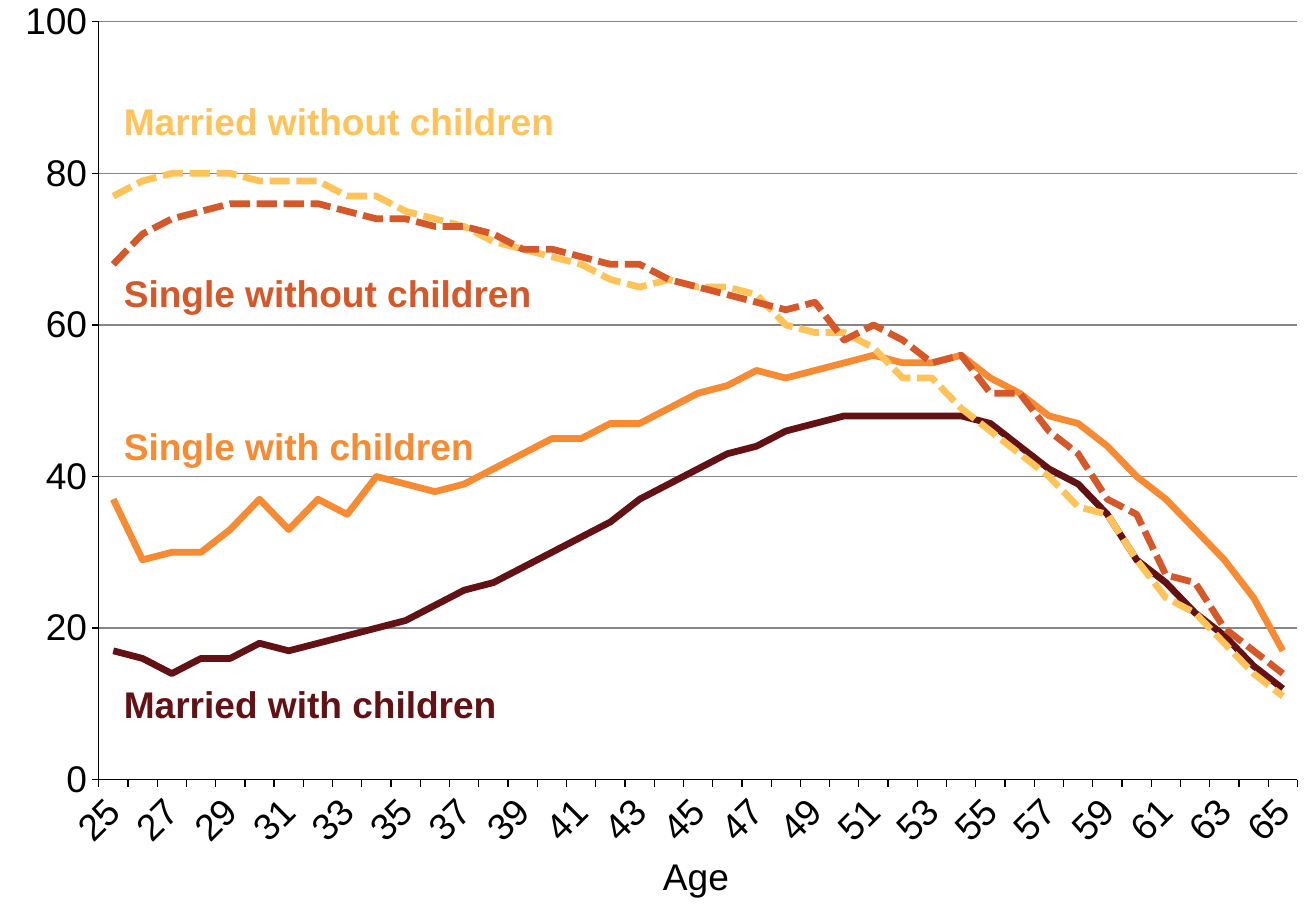
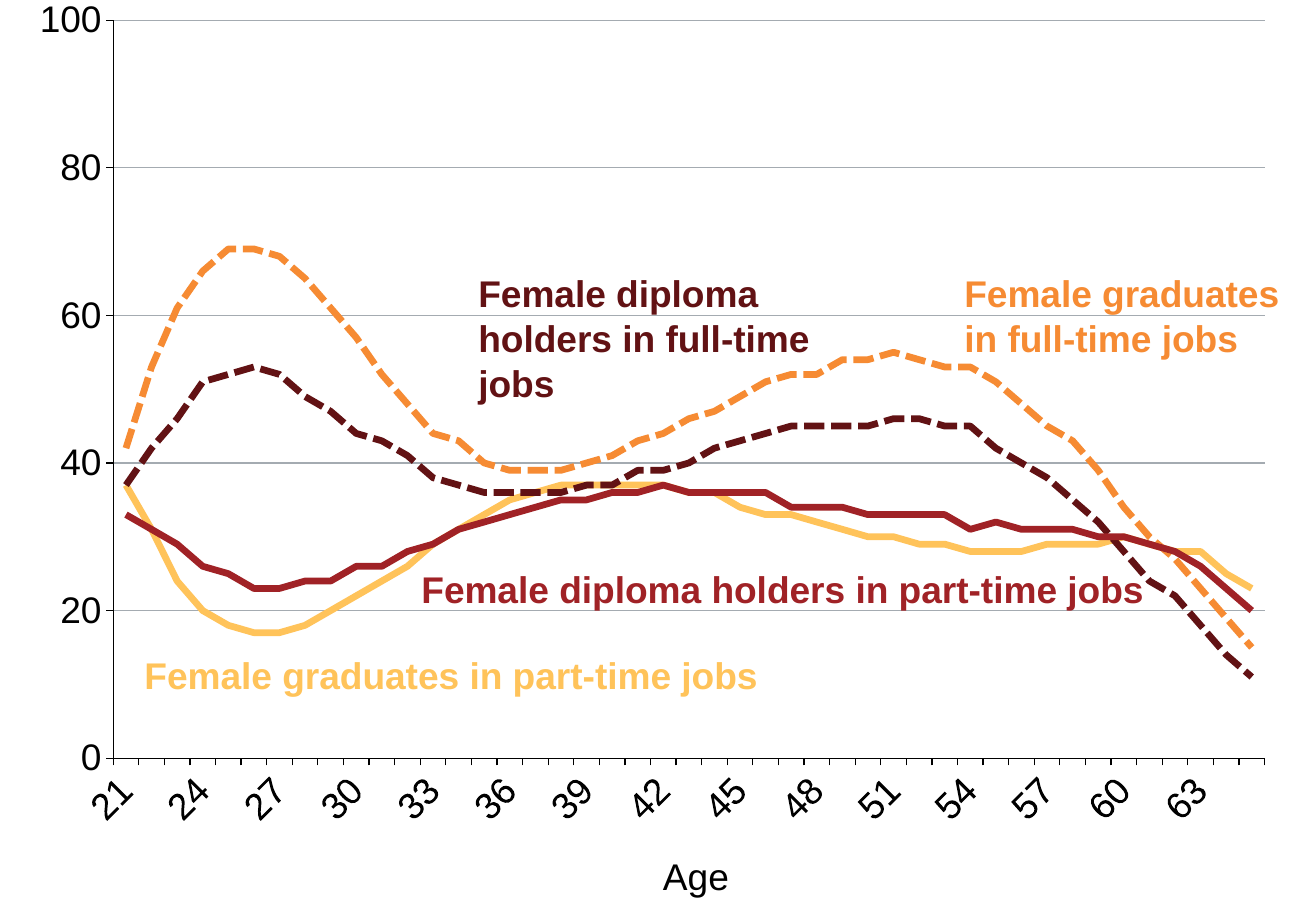
import dataclasses

import lxml.etree
import pptx
import pptx.chart.data
import pptx.dml.color
import pptx.enum.chart
import pptx.enum.dml
import pptx.enum.text
import pptx.oxml.ns
import pptx.util

Cm = pptx.util.Cm
Pt = pptx.util.Pt
qn = pptx.oxml.ns.qn


@dataclasses.dataclass(frozen=True)
class Theme:
    font: str = "Arial"
    text_size: float = 22
    series_width: float = 4
    axis_width: float = 0.75
    black: str = "000000"
    maroon: str = "621214"
    red: str = "A02226"
    rust: str = "D4582A"
    orange: str = "F68B33"
    yellow: str = "FFC35A"
    dark_grid: str = "868686"
    light_grid: str = "A4ABB1"


@dataclasses.dataclass(frozen=True)
class Box:
    left: float
    top: float
    width: float
    height: float

    def within(self, outer):
        """Return the lengths of this box, offset by the outer box."""
        return (Cm(outer.left + self.left), Cm(outer.top + self.top),
                Cm(self.width), Cm(self.height))


@dataclasses.dataclass(frozen=True)
class Group:
    """One curve and the label that names it."""
    name: str
    color: str
    dashed: bool
    label: Box
    values: tuple
    wrap: bool = False


THEME = Theme()
PAGE = Box(0, 0, 27.51, 19.05)
AGE_LABEL = Box(13.61, 17.73, 1.93, 1.19)

FAMILY_GROUPS = (
    Group("Married with children", THEME.maroon, False, Box(2.34, 14.12, 8.38, 1.19),
          (17, 16, 14, 16, 16, 18, 17, 18, 19, 20, 21, 23, 25, 26, 28, 30, 32, 34, 37, 39, 41,
           43, 44, 46, 47, 48, 48, 48, 48, 48, 47, 44, 41, 39, 35, 29, 26, 22, 19, 15, 12)),
    Group("Single with children", THEME.orange, False, Box(2.34, 8.74, 7.92, 1.19),
          (37, 29, 30, 30, 33, 37, 33, 37, 35, 40, 39, 38, 39, 41, 43, 45, 45, 47, 47, 49, 51,
           52, 54, 53, 54, 55, 56, 55, 55, 56, 53, 51, 48, 47, 44, 40, 37, 33, 29, 24, 17)),
    Group("Married without children", THEME.yellow, True, Box(2.34, 1.93, 9.6, 1.19),
          (77, 79, 80, 80, 80, 79, 79, 79, 77, 77, 75, 74, 73, 71, 70, 69, 68, 66, 65, 66, 65,
           65, 64, 60, 59, 59, 57, 53, 53, 49, 46, 43, 40, 36, 35, 29, 24, 22, 18, 14, 11)),
    Group("Single without children", THEME.rust, True, Box(2.34, 5.54, 9.14, 1.19),
          (68, 72, 74, 75, 76, 76, 76, 76, 75, 74, 74, 73, 73, 72, 70, 70, 69, 68, 68, 66, 65,
           64, 63, 62, 63, 58, 60, 58, 55, 56, 51, 51, 46, 43, 37, 35, 27, 26, 20, 17, 14)),
)

WORK_GROUPS = (
    Group("Female graduates in full-time jobs", THEME.orange, True,
          Box(19.91, 5.54, 7.59, 2.13),
          (42, 53, 61, 66, 69, 69, 68, 65, 61, 57, 52, 48, 44, 43, 40, 39, 39, 39, 40, 41, 43,
           44, 46, 47, 49, 51, 52, 52, 54, 54, 55, 54, 53, 53, 51, 48, 45, 43, 39, 34, 30, 27,
           23, 19, 15), wrap=True),
    Group("Female graduates in part-time jobs", THEME.yellow, False,
          Box(2.77, 13.51, 13.49, 1.19),
          (37, 31, 24, 20, 18, 17, 17, 18, 20, 22, 24, 26, 29, 31, 33, 35, 36, 37, 37, 37, 37,
           37, 36, 36, 34, 33, 33, 32, 31, 30, 30, 29, 29, 28, 28, 28, 29, 29, 29, 30, 29, 28,
           28, 25, 23)),
    Group("Female diploma holders in full-time jobs", THEME.maroon, True,
          Box(9.75, 5.54, 7.59, 3.07),
          (37, 42, 46, 51, 52, 53, 52, 49, 47, 44, 43, 41, 38, 37, 36, 36, 36, 36, 37, 37, 39,
           39, 40, 42, 43, 44, 45, 45, 45, 45, 46, 46, 45, 45, 42, 40, 38, 35, 32, 28, 24, 22,
           18, 14, 11), wrap=True),
    Group("Female diploma holders in part-time jobs", THEME.red, False,
          Box(8.56, 11.73, 15.8, 1.19),
          (33, 31, 29, 26, 25, 23, 23, 24, 24, 26, 26, 28, 29, 31, 32, 33, 34, 35, 35, 36, 36,
           37, 36, 36, 36, 36, 34, 34, 34, 33, 33, 33, 33, 31, 32, 31, 31, 31, 30, 30, 29, 28,
           26, 23, 20)),
)


def apply(target, formats):
    for name, value in formats.items():
        setattr(target, name, value)


def style_font(font, color, bold=False):
    apply(font, {"name": THEME.font, "size": Pt(THEME.text_size), "bold": bold})
    font.color.rgb = pptx.dml.color.RGBColor.from_string(color)


def style_line(line, color, width):
    line.width = Pt(width)
    line.color.rgb = pptx.dml.color.RGBColor.from_string(color)


def add_label(page, outer, box, text, color, bold=False, wrap=False):
    frame = page.shapes.add_textbox(*box.within(outer)).text_frame
    apply(frame, {"word_wrap": wrap,
                  "auto_size": pptx.enum.text.MSO_AUTO_SIZE.SHAPE_TO_FIT_TEXT})
    span = frame.paragraphs[0].add_run()
    span.text = text
    style_font(span.font, color, bold)


def set_plot_layout(chart, fractions):
    """Fix the inner plot area as (x, y, w, h) fractions of the chart."""
    plot_area = chart._chartSpace.find(".//" + qn("c:plotArea"))
    for old in plot_area.findall(qn("c:layout")):
        plot_area.remove(old)
    layout = lxml.etree.Element(qn("c:layout"))
    plot_area.insert(0, layout)
    manual = lxml.etree.SubElement(layout, qn("c:manualLayout"))
    settings = [("layoutTarget", "inner"), ("xMode", "edge"), ("yMode", "edge")]
    settings += zip("xywh", fractions)
    for tag, value in settings:
        lxml.etree.SubElement(manual, qn("c:" + tag)).set("val", str(value))


def insert_setting(axis, tag, value, before):
    """Put an axis setting in front of the element it must precede."""
    setting = lxml.etree.Element(qn(tag))
    setting.set("val", value)
    axis._element.find(qn(before)).addprevious(setting)


def style_axes(chart, label_step, grid_color):
    tick = pptx.enum.chart.XL_TICK_MARK
    ages, shares = chart.category_axis, chart.value_axis
    for axis in (ages, shares):
        apply(axis, {"major_tick_mark": tick.OUTSIDE, "minor_tick_mark": tick.NONE})
        style_font(axis.tick_labels.font, THEME.black)
        style_line(axis.format.line, THEME.black, THEME.axis_width)

    apply(shares, {"minimum_scale": 0, "maximum_scale": 100, "major_unit": 20,
                   "has_major_gridlines": True})
    apply(shares.tick_labels, {"number_format": "#,##0", "number_format_is_linked": False})
    style_line(shares.major_gridlines.format.line, grid_color, THEME.axis_width)
    insert_setting(shares, "c:crossBetween", "between", before="c:majorUnit")

    ages.has_major_gridlines = False
    body = ages._element.find(qn("c:txPr")).find(qn("a:bodyPr"))
    body.set("rot", "-2700000")
    body.set("vert", "horz")
    insert_setting(ages, "c:tickLblSkip", str(label_step), before="c:noMultiLvlLbl")


def add_age_chart(page, outer, groups, first_age, label_step, grid_color, layout):
    chart_data = pptx.chart.data.CategoryChartData()
    chart_data.categories = [str(first_age + step) for step in range(len(groups[0].values))]
    for group in groups:
        chart_data.add_series(group.name, group.values)
    area = Box(0, 0, outer.width, outer.height)
    chart = page.shapes.add_chart(pptx.enum.chart.XL_CHART_TYPE.LINE,
                                  *area.within(outer), chart_data).chart
    apply(chart, {"has_title": False, "has_legend": False})
    style_font(chart.font, THEME.black)
    chart.plots[0].vary_by_categories = False
    set_plot_layout(chart, layout)
    style_axes(chart, label_step, grid_color)
    for series, group in zip(chart.plots[0].series, groups):
        series.smooth = False
        style_line(series.format.line, group.color, THEME.series_width)
        if group.dashed:
            series.format.line.dash_style = pptx.enum.dml.MSO_LINE.SQUARE_DOT


def add_chart_page(deck, outer, groups, **chart_options):
    page = deck.slides.add_slide(deck.slide_layouts[6])
    add_age_chart(page, outer, groups, **chart_options)
    for group in groups:
        add_label(page, outer, group.label, group.name, group.color, True, group.wrap)
    add_label(page, outer, AGE_LABEL, "Age", THEME.black)


def main():
    deck = pptx.Presentation()
    apply(deck, {"slide_width": Cm(PAGE.width), "slide_height": Cm(PAGE.height)})
    add_chart_page(deck, PAGE, FAMILY_GROUPS, first_age=25, label_step=2,
                   grid_color=THEME.dark_grid, layout=(0.075, 0.024, 0.911, 0.832))
    add_chart_page(deck, PAGE, WORK_GROUPS, first_age=21, label_step=3,
                   grid_color=THEME.light_grid, layout=(0.086, 0.02, 0.875, 0.812))
    deck.save("out.pptx")


if __name__ == "__main__":
    main()
